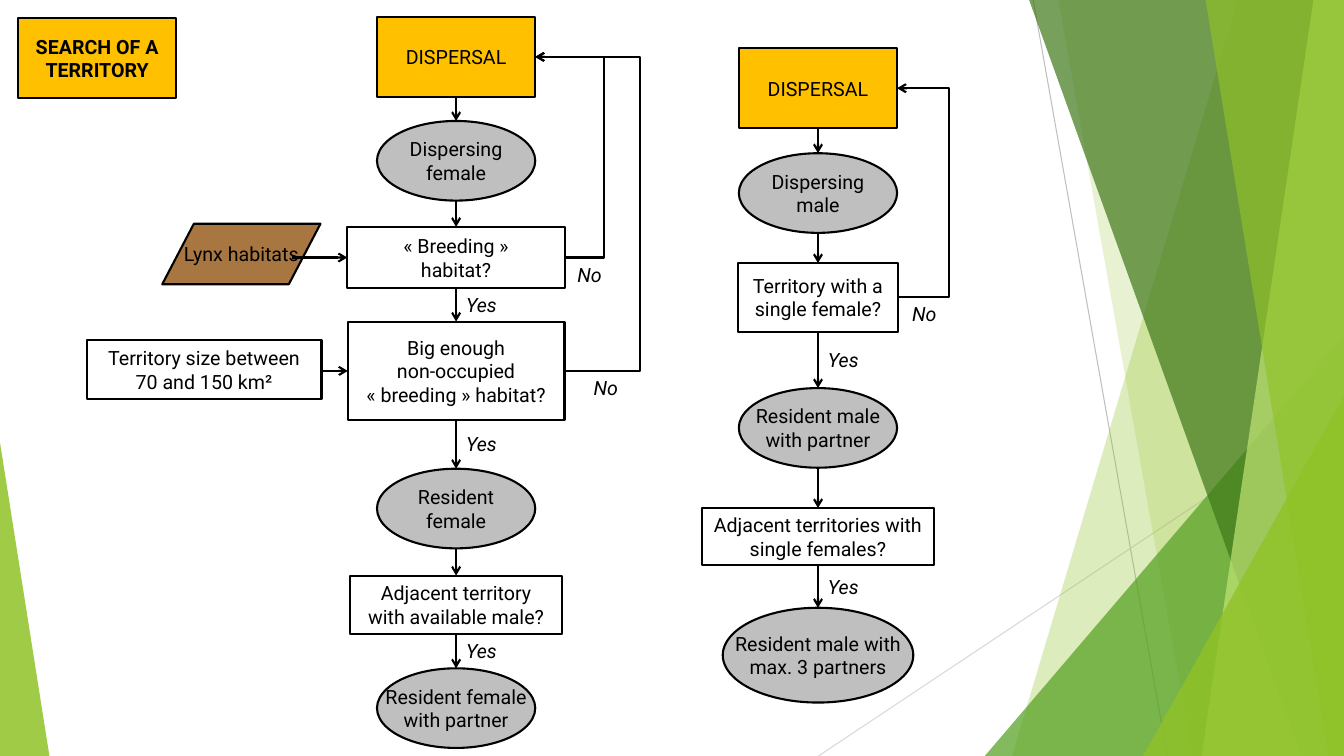
"""Build a flowchart slide on how dispersing animals search for a territory."""
from dataclasses import dataclass
from enum import Enum
from itertools import pairwise

from lxml.etree import SubElement
from pptx import Presentation
from pptx.dml.color import RGBColor
from pptx.enum.shapes import MSO_CONNECTOR as Connector, MSO_SHAPE as Preset
from pptx.enum.text import MSO_ANCHOR as Anchor, PP_ALIGN as Align
from pptx.oxml.ns import qn
from pptx.util import Emu, Inches, Pt

CELL = Inches(0.1)
COLUMNS, ROWS = 133.33, 75

BLACK = RGBColor(0x00, 0x00, 0x00)
WHITE = RGBColor(0xFF, 0xFF, 0xFF)
SILVER = RGBColor(0xBF, 0xBF, 0xBF)
PALE_GRAY = RGBColor(0xD9, 0xD9, 0xD9)
AMBER = RGBColor(0xFF, 0xC0, 0x00)
BROWN = RGBColor(0xA8, 0x76, 0x40)
LEAF = RGBColor(0x90, 0xC2, 0x26)
GRASS = RGBColor(0x54, 0xA0, 0x21)
FOREST = RGBColor(0x3F, 0x78, 0x19)
LIME = RGBColor(0xC0, 0xE4, 0x74)


class Kind(Enum):
    START = (Preset.RECTANGLE, AMBER)
    STATE = (Preset.OVAL, SILVER)
    QUESTION = (Preset.RECTANGLE, WHITE)
    HABITAT = (Preset.FLOWCHART_DATA, BROWN)


@dataclass(frozen=True)
class Facet:
    top_left: float
    bottom_left: float
    color: RGBColor
    opacity: int


@dataclass(frozen=True)
class Wedge:
    left: float
    top: float
    width: float
    apex: float
    color: RGBColor
    opacity: int


@dataclass(frozen=True)
class Node:
    kind: Kind
    text: str
    center: float
    top: float
    width: float = 15.7
    height: float = 7.9
    answer: str = ""
    bold: bool = False

    @property
    def left(self) -> float:
        return self.center - self.width / 2

    @property
    def right(self) -> float:
        return self.center + self.width / 2

    @property
    def middle(self) -> float:
        return self.top + self.height / 2

    @property
    def bottom(self) -> float:
        return self.top + self.height


@dataclass(frozen=True)
class Loop:
    question: Node
    start: Node
    turn: float
    label_left: float


BACKDROP = [
    Facet(122.8, 100.4, LEAF, 30),
    Facet(105, 118.3, LEAF, 20),
    Wedge(97.7, 33.3, 35.63, 1, GRASS, 72),
    Facet(102.1, 129.1, FOREST, 70),
    Facet(130.3, 119.2, LIME, 70),
    Facet(119.6, 131.8, LEAF, 65),
    Wedge(113.4, 39.3, 19.93, 1, LEAF, 80),
    Wedge(0, 43.9, 4.9, 0, LEAF, 85),
]
FEMALE, MALE = 45.25, 81.15
FEMALE_STEPS = [
    Node(Kind.START, "DISPERSAL", FEMALE, 1.7),
    Node(Kind.STATE, "Dispersing\nfemale", FEMALE, 12),
    Node(Kind.QUESTION, "« Breeding »\nhabitat?", FEMALE, 22.5, 21.6, 6.1, "Yes"),
    Node(Kind.QUESTION, "Big enough\nnon-occupied\n« breeding » habitat?", FEMALE, 31.9, 21.5, 9.8, "Yes"),
    Node(Kind.STATE, "Resident\nfemale", FEMALE, 46.5),
    Node(Kind.QUESTION, "Adjacent territory with available male?", FEMALE, 57.1, 21, 5.8, "Yes"),
    Node(Kind.STATE, "Resident female\nwith partner", FEMALE, 66.3),
]
MALE_STEPS = [
    Node(Kind.START, "DISPERSAL", MALE, 4.8),
    Node(Kind.STATE, "Dispersing\nmale", MALE, 15.2),
    Node(Kind.QUESTION, "Territory with a single female?", MALE, 26.1, 15.8, 6.8, "Yes"),
    Node(Kind.STATE, "Resident male\nwith partner", MALE, 38.5),
    Node(Kind.QUESTION, "Adjacent territories with single females?", MALE, 50.4, 23.1, 5.7, "Yes"),
    Node(Kind.STATE, "Resident male with\nmax. 3 partners", MALE, 60.3, 18.9, 9.4),
]
TITLE = Node(Kind.START, "SEARCH OF A TERRITORY", 9.65, 1.8, bold=True)
HABITATS = Node(Kind.HABITAT, "Lynx habitats", 23.95, 22.2, 15.7, 6)
TERRITORY_SIZE = Node(Kind.QUESTION, "Territory size between 70 and 150 km²", 20.25, 33.7, 23.3, 5.9)
LOOPS = [
    Loop(FEMALE_STEPS[2], FEMALE_STEPS[0], 59.9, 56.3),
    Loop(FEMALE_STEPS[3], FEMALE_STEPS[0], 63.5, 57.9),
    Loop(MALE_STEPS[2], MALE_STEPS[0], 94, 89.5),
]


def cells(*counts: float) -> list[Emu]:
    return [Emu(round(count * CELL)) for count in counts]


def paint(shape, color: RGBColor, opacity: int) -> None:
    shape.shadow.inherit = False
    shape.line.fill.background()
    shape.fill.solid()
    shape.fill.fore_color.rgb = color
    color_element = shape.fill._xPr.find(qn("a:solidFill"))[0]
    SubElement(color_element, qn("a:alpha"), val=str(opacity * 1000))


def draw_backdrop(shapes, piece: Facet | Wedge) -> None:
    if isinstance(piece, Facet):
        builder = shapes.build_freeform(*cells(piece.top_left, 0))
        corners = [(COLUMNS, 0), (COLUMNS, ROWS), (piece.bottom_left, ROWS)]
        builder.add_line_segments([cells(*corner) for corner in corners])
        shape = builder.convert_to_shape()
    else:
        frame = cells(piece.left, piece.top, piece.width, ROWS - piece.top)
        shape = shapes.add_shape(Preset.ISOSCELES_TRIANGLE, *frame)
        shape.adjustments[0] = piece.apex
    paint(shape, piece.color, piece.opacity)


def write(text_frame, text: str, align: Align, bold: bool = False, italic: bool = False) -> None:
    text_frame.text = text
    for paragraph in text_frame.paragraphs:
        paragraph.alignment = align
        for run in paragraph.runs:
            run.font.name, run.font.size = "Roboto", Pt(14)
            run.font.bold, run.font.italic = bold, italic
            run.font.color.rgb = BLACK


def draw_node(shapes, node: Node) -> None:
    preset, color = node.kind.value
    shape = shapes.add_shape(preset, *cells(node.left, node.top, node.width, node.height))
    shape.shadow.inherit = False
    shape.fill.solid()
    shape.fill.fore_color.rgb = color
    shape.line.color.rgb, shape.line.width = BLACK, Pt(1.5)
    shape.text_frame.word_wrap = preset == Preset.RECTANGLE
    shape.text_frame.vertical_anchor = Anchor.MIDDLE
    write(shape.text_frame, node.text, Align.CENTER, bold=node.bold)


def draw_answer(shapes, text: str, left: float, top: float) -> None:
    label = shapes.add_textbox(*cells(left, top, 6.4, 3.4))
    label.text_frame.word_wrap = True
    write(label.text_frame, text, Align.LEFT, italic=True)


def draw_line(shapes, ends: tuple, kind=Connector.STRAIGHT, color=BLACK, width=1.5, arrow=True):
    line = shapes.add_connector(kind, *cells(*ends))
    line.line.color.rgb, line.line.width = color, Pt(width)
    if arrow:
        SubElement(line.line._get_or_add_ln(), qn("a:tailEnd"), type="arrow")
    SubElement(line._element.spPr, qn("a:effectLst"))
    return line


def draw_loop(shapes, loop: Loop) -> None:
    begin, end = loop.question, loop.start
    ends = (begin.right, begin.middle, end.right, end.middle)
    line = draw_line(shapes, ends, Connector.ELBOW)
    bend = round((begin.right - loop.turn) / (begin.right - end.right) * 100000)
    guides = line._element.spPr.find(qn("a:prstGeom")).get_or_add_avLst()
    SubElement(guides, qn("a:gd"), name="adj1", fmla=f"val {bend}")
    draw_answer(shapes, "No", loop.label_left, begin.middle)


def draw_steps(shapes, steps: list[Node]) -> None:
    for node in steps:
        draw_node(shapes, node)
    for upper, lower in pairwise(steps):
        draw_line(shapes, (upper.center, upper.bottom, lower.center, lower.top))
        if upper.answer:
            draw_answer(shapes, upper.answer, upper.center, (upper.bottom + lower.top) / 2 - 1.7)


def main() -> None:
    presentation = Presentation()
    presentation.slide_width, presentation.slide_height = cells(COLUMNS, ROWS)
    shapes = presentation.slides.add_slide(presentation.slide_layouts[6]).shapes
    draw_line(shapes, (102.5, 0, 115.8, ROWS), color=SILVER, width=0.75, arrow=False)
    draw_line(shapes, (COLUMNS, 40.3, 81.2, ROWS), color=PALE_GRAY, width=0.75, arrow=False)
    for piece in BACKDROP:
        draw_backdrop(shapes, piece)
    for node in (TITLE, HABITATS, TERRITORY_SIZE):
        draw_node(shapes, node)
    for steps in (FEMALE_STEPS, MALE_STEPS):
        draw_steps(shapes, steps)
    for loop in LOOPS:
        draw_loop(shapes, loop)
    slanted_exit = HABITATS.right - HABITATS.width / 10 - 1.3
    for start, target in ((slanted_exit, FEMALE_STEPS[2]), (TERRITORY_SIZE.right, FEMALE_STEPS[3])):
        draw_line(shapes, (start, target.middle, target.left, target.middle))
    presentation.save("out.pptx")


if __name__ == "__main__":
    main()
